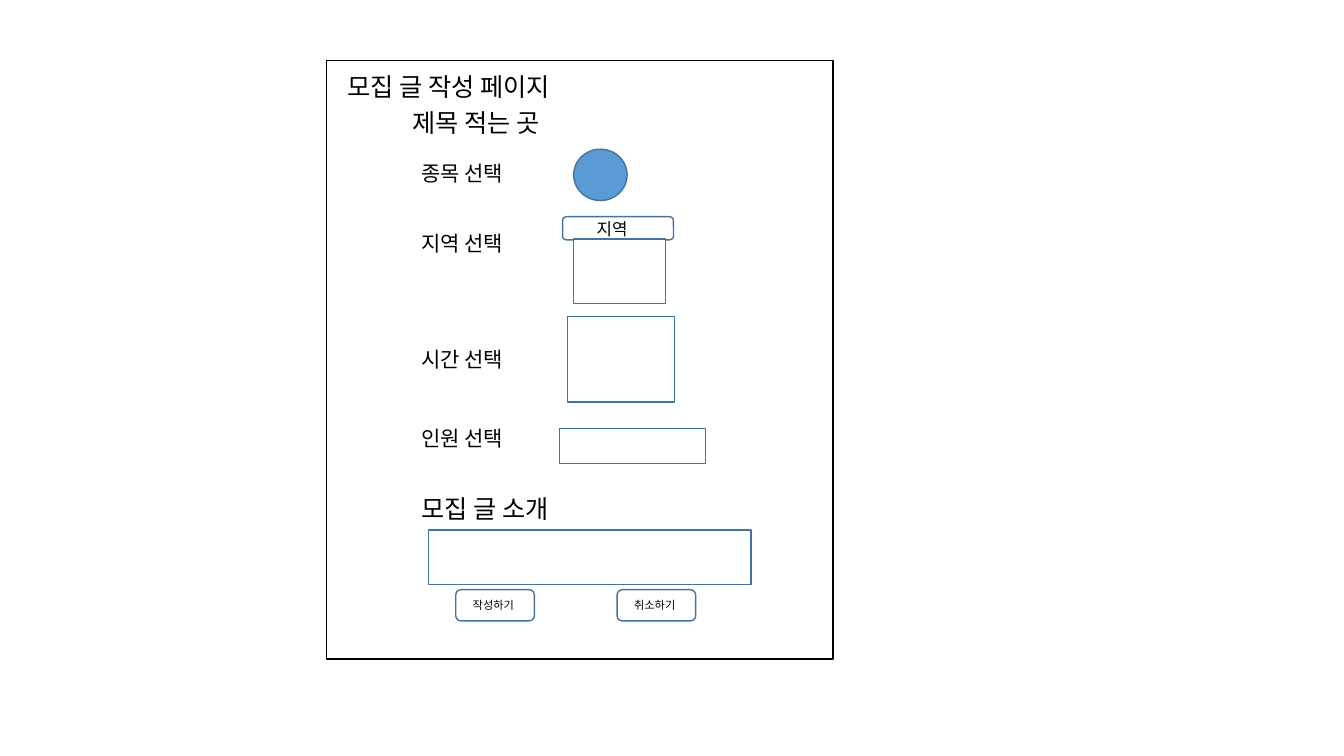
from lxml import etree
from pptx import Presentation
from pptx.dml.color import RGBColor
from pptx.enum import shapes, text
from pptx.oxml.ns import qn
from pptx.util import Inches, Pt

FONT = "Noto Sans CJK KR"
BLACK = RGBColor(0x00, 0x00, 0x00)
WHITE = RGBColor(0xFF, 0xFF, 0xFF)
BLUE = RGBColor(0x5B, 0x9B, 0xD5)
EDGE = RGBColor(0x43, 0x73, 0x9E)

RECT = shapes.MSO_SHAPE.RECTANGLE
ROUND = shapes.MSO_SHAPE.ROUNDED_RECTANGLE
OVAL = shapes.MSO_SHAPE.OVAL

PAGE_FRAME = (3.24, 0.6, 5.02, 5.94)

# Form fields: preset, (left, top, width, height), fill
FIELDS = [
    (OVAL, (5.69, 1.48, 0.53, 0.51), BLUE),     # sport
    (ROUND, (5.58, 2.15, 1.1, 0.23), WHITE),    # region selector
    (RECT, (5.69, 2.37, 0.91, 0.64), WHITE),    # region list
    (RECT, (5.63, 3.14, 1.06, 0.85), WHITE),    # time
    (RECT, (5.55, 4.25, 1.45, 0.35), WHITE),    # head count
    (RECT, (4.25, 5.26, 3.2, 0.54), WHITE),     # introduction
]

# Headings and other text: wording, (left, top, width, height), size
TEXTS = [
    ("모집 글 작성 페이지", (3.35, 0.66, 4.26, 0.4), 18),
    ("제목 적는 곳", (3.99, 1.02, 4.26, 0.4), 18),
    ("모집 글 소개", (4.08, 4.84, 3.47, 0.4), 18),
    ("지역", (5.82, 2.12, 0.91, 0.3), 12),
]

# Field labels share one column: wording, top, width
LABEL_LEFT = 4.08
LABELS = [
    ("종목 선택", 1.54, 4.26),
    ("지역 선택", 2.24, 4.26),
    ("시간 선택", 3.39, 4.26),
    ("인원 선택", 4.17, 1.77),
]

BUTTON_TOP = 5.85
BUTTONS = [("작성하기", 4.52), ("취소하기", 6.12)]


def add_outline(parent, preset, place, fill, edge=EDGE):
    """Add a flat preset shape with a thin outline; no fill if None."""
    shape = parent.add_shape(preset, *map(Inches, place))
    shape.shadow.inherit = False
    if fill is None:
        shape.fill.background()
    else:
        shape.fill.solid()
        shape.fill.fore_color.rgb = fill
    shape.line.color.rgb = edge
    shape.line.width = Pt(1)


def add_text(parent, wording, place, size):
    """Add a wrapping, left-aligned line of Korean text."""
    box = parent.add_textbox(*map(Inches, place))
    frame = box.text_frame
    frame.word_wrap = True
    frame.auto_size = text.MSO_AUTO_SIZE.SHAPE_TO_FIT_TEXT
    frame.text = wording
    span = frame.paragraphs[0].runs[0]
    span.font.name = FONT
    span.font.size = Pt(size)
    span.font.color.rgb = BLACK
    east_asian = etree.SubElement(span.font._element, qn("a:ea"))
    east_asian.set("typeface", FONT)


def add_button(page, wording, left):
    """Group a rounded button with its caption."""
    group = page.shapes.add_group_shape().shapes
    add_outline(group, ROUND, (left, BUTTON_TOP, 0.78, 0.31), WHITE)
    add_text(group, wording, (left + 0.07, BUTTON_TOP + 0.04, 0.65, 0.24), 8)


deck = Presentation()
deck.slide_width, deck.slide_height = Inches(13.33), Inches(7.5)
page = deck.slides.add_slide(deck.slide_layouts[6])

add_outline(page.shapes, RECT, PAGE_FRAME, None, BLACK)
for preset, place, fill in FIELDS:
    add_outline(page.shapes, preset, place, fill)
for wording, place, size in TEXTS:
    add_text(page.shapes, wording, place, size)
for wording, top, width in LABELS:
    add_text(page.shapes, wording, (LABEL_LEFT, top, width, 0.35), 15)
for wording, left in BUTTONS:
    add_button(page, wording, left)

deck.save("out.pptx")
